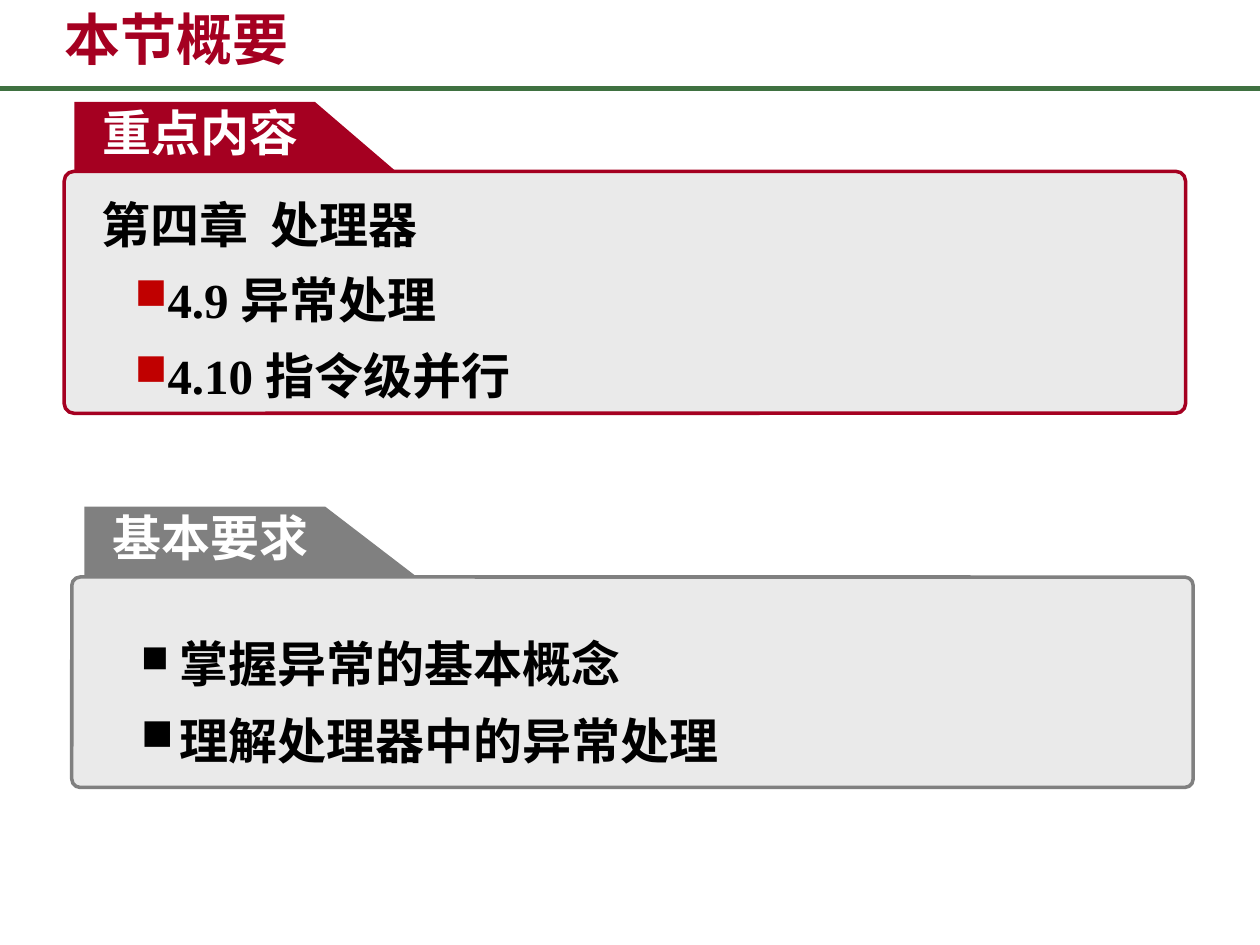
from dataclasses import dataclass
from typing import NamedTuple

from lxml import etree
from pptx import Presentation
from pptx import util as u
from pptx.dml.color import RGBColor
from pptx.enum import shapes, text
from pptx.oxml import ns

COLUMNS, ROWS = 100, 75


@dataclass(frozen=True)
class Theme:
    crimson: str = "A50021"
    bullet_red: str = "C00000"
    grey: str = "808080"
    green: str = "3F7141"
    body: str = "EAEAEA"
    black: str = "000000"
    white: str = "FFFFFF"
    title_size: int = 32
    text_size: int = 28
    cjk: str = "Noto Sans CJK SC"
    heading: str = "Noto Sans CJK JP"
    label: str = "Arial"
    numbered: str = "Times New Roman"


THEME = Theme()


class Area(NamedTuple):
    column: float
    row: float
    columns: float
    rows: float


class Bullet(NamedTuple):
    color: str
    percent: int
    margin: float
    hang: float


class Item(NamedTuple):
    words: str
    font: str
    bullet: Bullet | None = None


class Panel(NamedTuple):
    label: str
    color: str
    tab: Area
    body: Area
    content: Area
    items: list[Item]
    spacing: float
    gap: float


deck = Presentation()
deck.slide_width, deck.slide_height = u.Inches(10), u.Inches(7.5)
slide = deck.slides.add_slide(deck.slide_layouts[5])


def across(columns: float) -> int:
    return round(deck.slide_width * columns / COLUMNS)


def down(rows: float) -> int:
    return round(deck.slide_height * rows / ROWS)


def place(area: Area) -> tuple[int, int, int, int]:
    return across(area.column), down(area.row), across(area.columns), down(area.rows)


def rgb(color: str) -> RGBColor:
    return RGBColor.from_string(color)


def add_bullet(paragraph, bullet: Bullet) -> None:
    properties = paragraph._p.get_or_add_pPr()
    properties.set("marL", str(across(bullet.margin)))
    properties.set("indent", str(-across(bullet.hang)))
    color = etree.SubElement(properties, ns.qn("a:buClr"))
    etree.SubElement(color, ns.qn("a:srgbClr"), val=bullet.color)
    etree.SubElement(properties, ns.qn("a:buSzPct"), val=str(bullet.percent * 1000))
    etree.SubElement(properties, ns.qn("a:buChar"), char="■")


def write(paragraph, words: str, *, font: str, color: str, size: int = THEME.text_size,
          bullet: Bullet | None = None, spacing: float | None = None, gap: float = 0) -> None:
    paragraph.alignment = text.PP_ALIGN.LEFT
    paragraph.line_spacing = spacing
    paragraph.space_before = u.Pt(gap)
    if bullet:
        add_bullet(paragraph, bullet)
    run = paragraph.add_run()
    run.text = words
    run.font.name, run.font.size, run.font.bold = font, u.Pt(size), True
    run.font.color.rgb = rgb(color)
    etree.SubElement(run._r.get_or_add_rPr(), ns.qn("a:ea"), typeface=THEME.cjk)


def add_frame(area: Area):
    frame = slide.shapes.add_textbox(*place(area)).text_frame
    frame.word_wrap = True
    frame.auto_size = text.MSO_AUTO_SIZE.SHAPE_TO_FIT_TEXT
    return frame


def draw_title(words: str, area: Area) -> None:
    title = slide.shapes.title
    title.left, title.top, title.width, title.height = place(area)
    frame = title.text_frame
    frame.vertical_anchor = text.MSO_ANCHOR.BOTTOM
    frame.auto_size = text.MSO_AUTO_SIZE.NONE
    write(frame.paragraphs[0], words, font=THEME.cjk, color=THEME.crimson,
          size=THEME.title_size)


def draw_rule(row: float) -> None:
    rule = slide.shapes.add_connector(
        shapes.MSO_CONNECTOR.STRAIGHT, 0, down(row), across(COLUMNS), down(row))
    rule.line.color.rgb = rgb(THEME.green)
    rule.line.width = u.Pt(3)
    etree.SubElement(rule._element.spPr, ns.qn("a:effectLst"))


def draw_tab(panel: Panel) -> None:
    left, top, width, height = place(panel.tab)
    outline = slide.shapes.build_freeform(left, top)
    outline.add_line_segments([
        (left + across(19.1), top), (left + width, top + height), (left, top + height)])
    tab = outline.convert_to_shape()
    tab.shadow.inherit = False
    tab.fill.solid()
    tab.fill.fore_color.rgb = rgb(panel.color)
    tab.line.fill.background()
    label = add_frame(Area(panel.tab.column + 1.25, panel.tab.row - 0.45, 19.2, 5.7))
    write(label.paragraphs[0], panel.label, font=THEME.label, color=THEME.white)


def draw_panel(panel: Panel) -> None:
    draw_tab(panel)
    body = slide.shapes.add_shape(shapes.MSO_SHAPE.ROUNDED_RECTANGLE, *place(panel.body))
    body.adjustments[0] = 0.04
    body.shadow.inherit = False
    body.fill.solid()
    body.fill.fore_color.rgb = rgb(THEME.body)
    body.line.color.rgb = rgb(panel.color)
    body.line.width = u.Pt(2)
    frame = add_frame(panel.content)
    for index, item in enumerate(panel.items):
        paragraph = frame.add_paragraph() if index else frame.paragraphs[0]
        write(paragraph, item.words, font=item.font, color=THEME.black, bullet=item.bullet,
              spacing=panel.spacing, gap=panel.gap if index else 0)


section = Bullet(THEME.bullet_red, 90, 5, 2.4)
small_goal = Bullet(THEME.black, 77, 3.1, 3.1)
goal = small_goal._replace(percent=90)

PANELS = [
    Panel("重点内容", THEME.crimson, Area(5.9, 8.1, 26.8, 6.6), Area(5.1, 13.6, 89, 19.2),
          Area(7.1, 14.5, 85.1, 18.2),
          [Item("第四章  处理器", THEME.heading),
           Item("4.9 异常处理", THEME.numbered, section),
           Item("4.10 指令级并行", THEME.numbered, section)], 1.1, 6),
    Panel("基本要求", THEME.grey, Area(6.7, 40.2, 26.8, 5.9), Area(5.7, 45.8, 89, 16.7),
          Area(10.2, 48.4, 80.8, 12.8),
          [Item("掌握异常的基本概念", THEME.heading, small_goal),
           Item("理解处理器中的异常处理", THEME.heading, goal)], 1.3, 0),
]

draw_rule(7)
draw_title("本节概要", Area(4.1, 0.1, 31.3, 6.1))
for panel in PANELS:
    draw_panel(panel)
deck.save("out.pptx")
